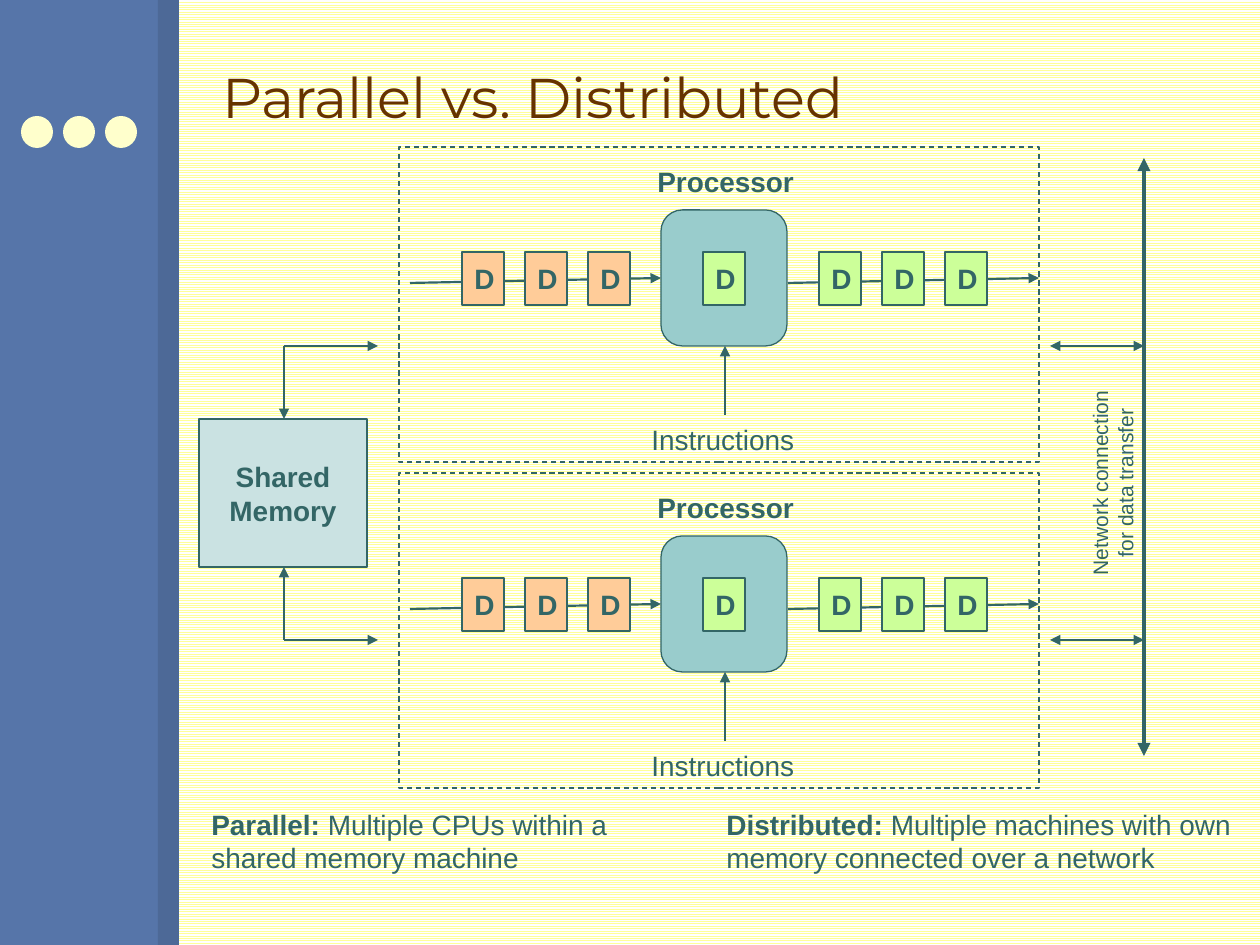
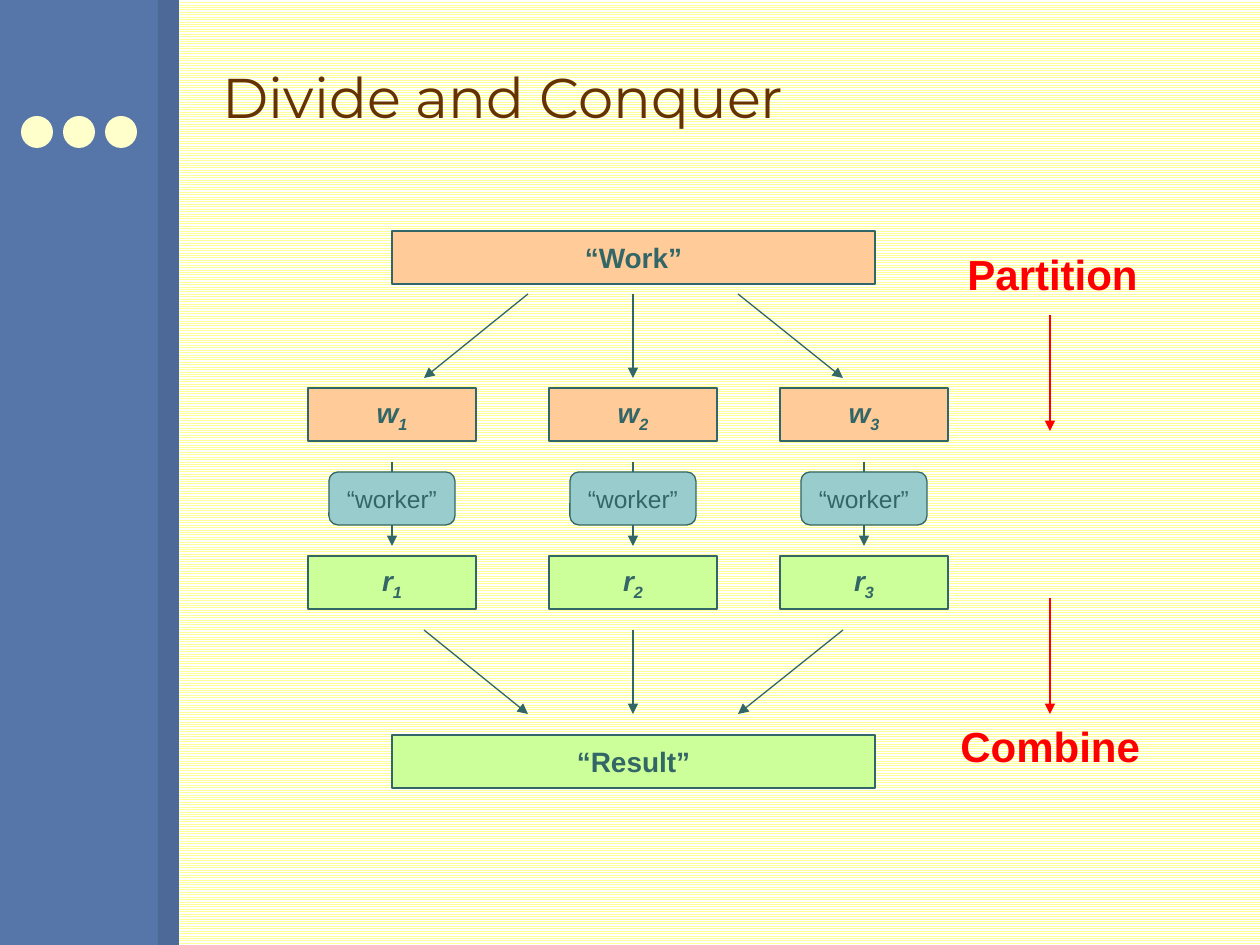
from dataclasses import dataclass

from lxml.etree import SubElement
from pptx import Presentation
from pptx.dml.color import RGBColor
from pptx.enum.dml import MSO_LINE, MSO_PATTERN
from pptx.enum.shapes import MSO_CONNECTOR, MSO_SHAPE
from pptx.enum.text import MSO_ANCHOR, MSO_AUTO_SIZE, PP_ALIGN
from pptx.oxml.ns import qn
from pptx.util import Emu, Pt

SCALE = 914400 / 126  # EMU per pixel


def px(n):
    return Emu(round(n * SCALE))


def rgb(code):
    return RGBColor.from_string(code)


@dataclass(frozen=True)
class Theme:
    # Colours
    title: str = "663300"
    ink: str = "336666"
    accent: str = "FF0000"
    stripe: str = "FFFF99"
    paper: str = "FFFFFF"
    band: str = "5675A9"
    band_edge: str = "4D6997"
    dot: str = "FFFFCC"
    memory: str = "CAE2E2"
    processor: str = "99CCCC"
    source: str = "FFCC99"
    result: str = "CCFF99"
    # Fonts and type sizes
    title_font: str = "Montserrat"
    body_font: str = "Arial"
    title_size: float = 32
    callout_size: float = 24
    body_size: float = 16
    worker_size: float = 14
    note_size: float = 12
    # Line widths
    thin: float = 0.75
    medium: float = 1.25
    accent_line: float = 1.5
    thick: float = 2.5


class Deck:
    def __init__(self, theme):
        self.theme = theme
        self.prs = Presentation()
        self.prs.slide_width, self.prs.slide_height = px(1260), px(945)
        self.s = None

    def slide(self, title):
        """Start a slide and set its title; the first one also fills the master."""
        t = self.theme
        first = self.s is None
        self.s = self.prs.slides.add_slide(self.prs.slide_layouts[5])
        if first:
            self.dress_master()
        sp = self.s.shapes.title
        sp.left, sp.top, sp.width, sp.height = map(px, (210, 26, 1008, 141))
        sp.text_frame.text = title
        sp.text_frame.vertical_anchor = MSO_ANCHOR.MIDDLE
        p = sp.text_frame.paragraphs[0]
        p.alignment = PP_ALIGN.LEFT
        self.style(p.runs[0], t.title_size, color=t.title, font=t.title_font)

    def dress_master(self):
        """Put the striped background, side bands and dots on the master."""
        t = self.theme
        master = self.prs.slide_master
        fill = master.background.fill
        fill.patterned()
        fill.pattern = MSO_PATTERN.LIGHT_HORIZONTAL
        fill.fore_color.rgb, fill.back_color.rgb = rgb(t.stripe), rgb(t.paper)
        parts = [self.box(0, 0, 158, 945, t.band, line=None),
                 self.box(158, 0, 21, 945, t.band_edge, line=None)]
        parts += [self.box(21 + 42 * i, 116, 32, 32, t.dot, MSO_SHAPE.OVAL, line=None)
                  for i in range(3)]
        tree = master.element.cSld.spTree
        for i, sp in enumerate(parts):
            tree.insert(2 + i, sp.element)

    def style(self, r, size, bold=False, italic=False, color=None, font=None):
        f = r.font
        f.name, f.size = font or self.theme.body_font, Pt(size)
        f.bold, f.italic = bold, italic
        f.color.rgb = rgb(color or self.theme.ink)

    def fill_text(self, tf, text, size, bold=False, color=None, align=PP_ALIGN.LEFT):
        tf.text = text
        for p in tf.paragraphs:
            p.alignment = align
            for r in p.runs:
                self.style(r, size, bold, color=color)

    def box(self, x, y, w, h, fill=None, kind=MSO_SHAPE.RECTANGLE, line="ink", dash=None):
        sp = self.s.shapes.add_shape(kind, *map(px, (x, y, w, h)))
        sp.shadow.inherit = False
        if fill:
            sp.fill.solid()
            sp.fill.fore_color.rgb = rgb(fill)
        else:
            sp.fill.background()
        if line:
            sp.line.color.rgb = rgb(self.theme.ink)
            sp.line.width = Pt(self.theme.thin)
            if dash:
                sp.line.dash_style = dash
        else:
            sp.line.fill.background()
        return sp

    def label_box(self, x, y, w, h, text, fill, size=None, bold=True,
                  kind=MSO_SHAPE.RECTANGLE):
        sp = self.box(x, y, w, h, fill, kind)
        sp.text_frame.vertical_anchor = MSO_ANCHOR.MIDDLE
        self.fill_text(sp.text_frame, text, size or self.theme.body_size, bold,
                       align=PP_ALIGN.CENTER)
        return sp

    def indexed_box(self, x, y, w, h, symbol, index, fill):
        """A box holding an italic symbol with a subscript."""
        sp = self.label_box(x, y, w, h, symbol, fill)
        p = sp.text_frame.paragraphs[0]
        p.runs[0].font.italic = True
        r = p.add_run()
        r.text = str(index)
        self.style(r, self.theme.body_size, bold=True, italic=True)
        r.font._element.set("baseline", "-25000")

    def text(self, x, y, w, h, text, size=None, bold=False, color=None,
             align=PP_ALIGN.LEFT, wrap=False):
        sp = self.s.shapes.add_textbox(*map(px, (x, y, w, h)))
        tf = sp.text_frame
        tf.word_wrap = wrap
        tf.auto_size = MSO_AUTO_SIZE.SHAPE_TO_FIT_TEXT
        self.fill_text(tf, text, size or self.theme.body_size, bold, color, align)
        return sp

    def definition(self, x, y, w, h, term, meaning):
        """A bold term followed by its plain meaning."""
        sp = self.text(x, y, w, h, term, bold=True, wrap=True)
        r = sp.text_frame.paragraphs[0].add_run()
        r.text = meaning
        self.style(r, self.theme.body_size)

    def arrow(self, x1, y1, x2, y2, width=None, color=None, both=False):
        c = self.s.shapes.add_connector(MSO_CONNECTOR.STRAIGHT,
                                        *map(px, (x1, y1, x2, y2)))
        c.line.color.rgb = rgb(color or self.theme.ink)
        c.line.width = Pt(width or self.theme.thin)
        sp_pr = c.element.spPr
        ln = sp_pr.find(qn("a:ln"))
        for end in ("a:headEnd", "a:tailEnd") if both else ("a:tailEnd",):
            SubElement(ln, qn(end)).set("type", "triangle")
        SubElement(sp_pr, qn("a:effectLst"))

    def elbow(self, x, y, corner_y, x_end):
        """Two arrows leaving one corner: to a box edge and to the right."""
        self.arrow(x, corner_y, x_end, corner_y)
        self.arrow(x, corner_y, x, y)

    def machine(self, y):
        """A dashed panel with a processor, its data stream and instructions."""
        t = self.theme
        self.box(399, y, 640, 315, dash=MSO_LINE.DASH)
        for x in (410, 788):
            self.arrow(x, y + 136, x + 251, y + 131, t.medium)
        core = self.box(661, y + 63, 126, 136, t.processor, MSO_SHAPE.ROUNDED_RECTANGLE)
        core.adjustments[0] = 0.17
        for start, count, fill in ((462, 3, t.source), (703, 1, t.result),
                                   (819, 3, t.result)):
            for i in range(count):
                self.label_box(start + 63 * i, y + 105, 42, 53, "D", fill)
        self.text(645, y + 11, 164, 47, "Processor", bold=True)
        self.arrow(725, y + 268, 725, y + 199, t.medium)
        self.text(639, y + 269, 170, 47, "Instructions")


theme = Theme()
deck = Deck(theme)

# Slide 1: parallel and distributed machines
deck.slide("Parallel vs. Distributed")
deck.label_box(199, 419, 168, 148, "Shared\nMemory", theme.memory)
deck.elbow(284, 419, 346, 378)
deck.elbow(284, 567, 640, 378)
deck.arrow(1144, 158, 1144, 756, theme.thick, both=True)
for y in (346, 640):
    deck.arrow(1050, y, 1144, y, both=True)
for y in (147, 473):
    deck.machine(y)
deck.definition(199, 801, 504, 81, "Parallel: ",
                "Multiple CPUs within a shared memory machine")
deck.definition(714, 801, 536, 81, "Distributed: ",
                "Multiple machines with own memory connected over a network")
network = deck.text(1007, 451, 212, 64, "Network connection\vfor data transfer",
                    theme.note_size, align=PP_ALIGN.CENTER)
network.rotation = 270

# Slide 2: work is split, handled by workers and joined again
deck.slide("Divide and Conquer")
for y, label, fill in ((231, "“Work”", theme.source), (735, "“Result”", theme.result)):
    deck.label_box(392, y, 483, 53, label, fill)

# Arrows fanning out and back in
for inner, outer in ((528, 424), (633, 633), (738, 843)):
    deck.arrow(inner, 294, outer, 378)
    deck.arrow(outer, 630, inner, 714)

# One column per worker
for i, x in enumerate((392, 633, 864), start=1):
    deck.indexed_box(x - 84, 388, 168, 53, "w", i, theme.source)
    deck.indexed_box(x - 84, 556, 168, 53, "r", i, theme.result)
    deck.arrow(x, 462, x, 546)
    worker = deck.label_box(x - 63, 472, 126, 53, "“worker”", theme.processor,
                            theme.worker_size, False, MSO_SHAPE.ROUNDED_RECTANGLE)
    worker.adjustments[0] = 0.17

# Phases on the right
for x, y, w, label, arrow_y in ((955, 242, 198, "Partition", 315),
                                (948, 714, 207, "Combine", 598)):
    deck.text(x, y, w, 64, label, theme.callout_size, True, theme.accent)
    deck.arrow(1050, arrow_y, 1050, arrow_y + 116, theme.accent_line, theme.accent)

deck.prs.save("out.pptx")
